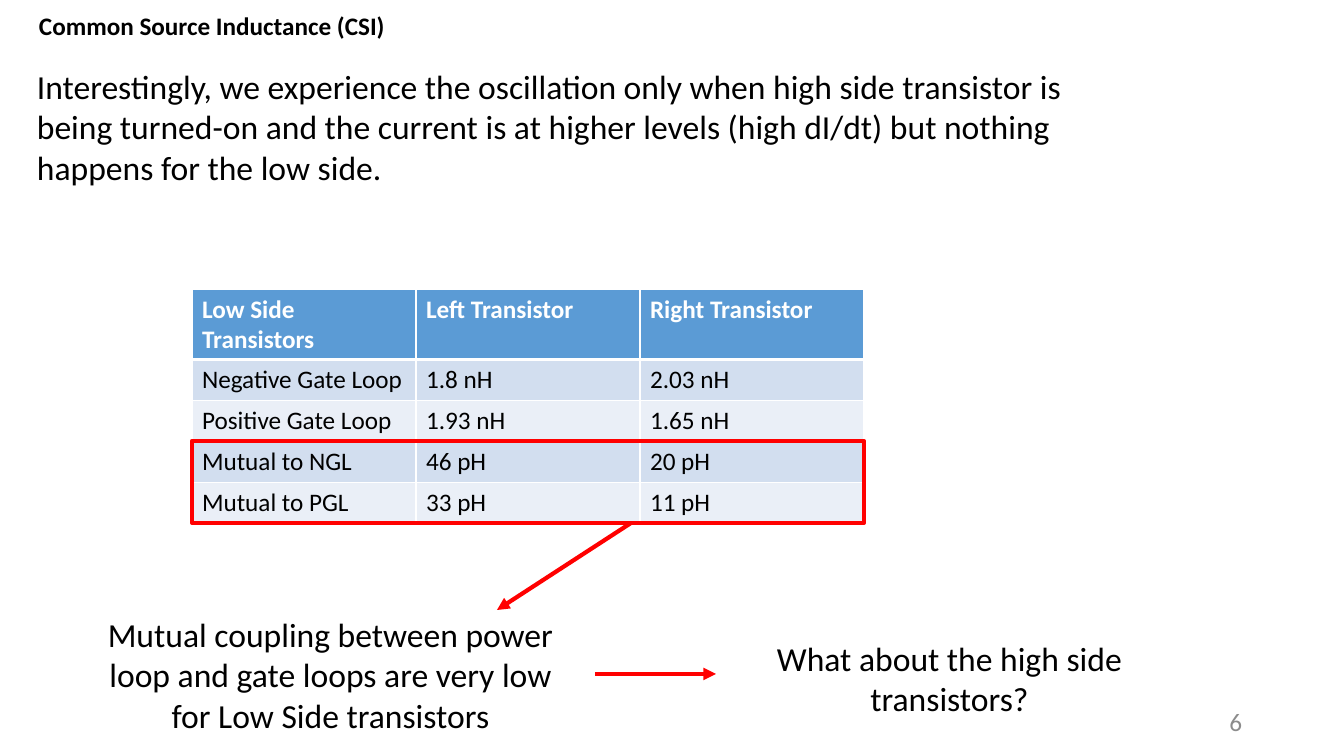
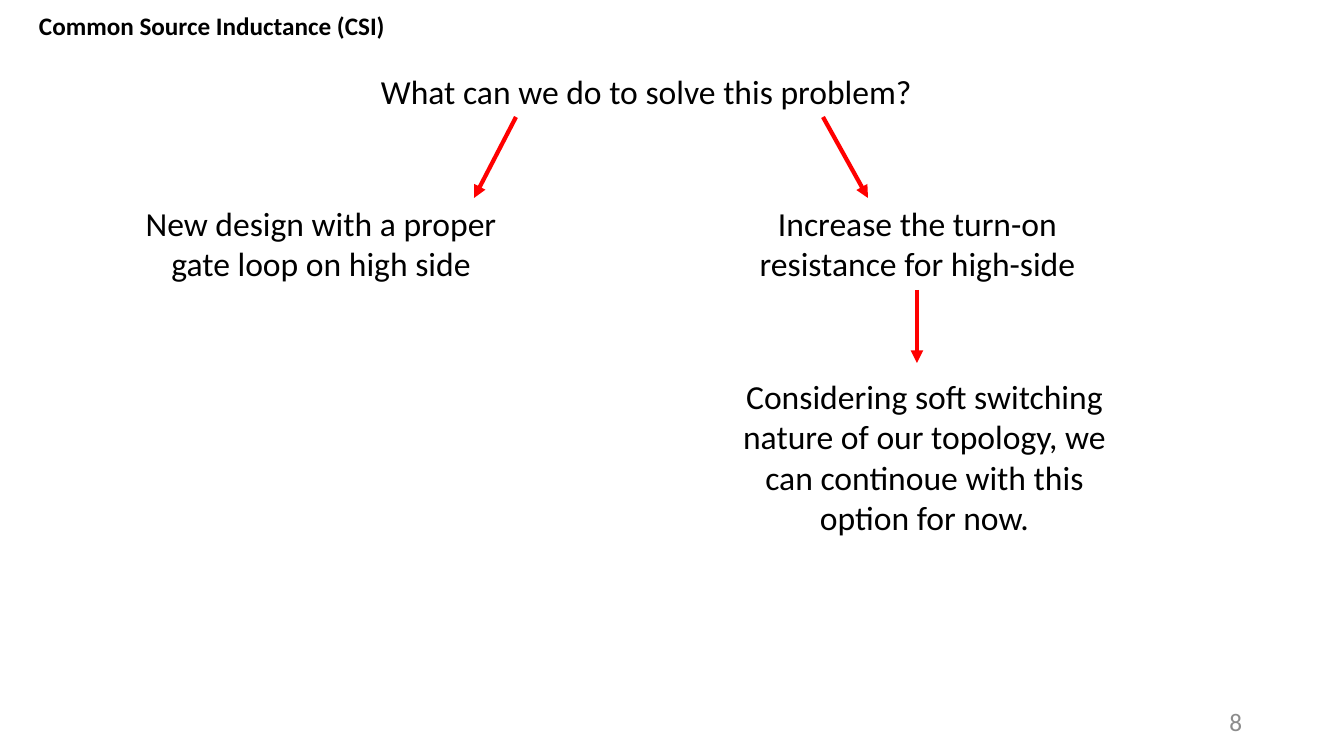
from dataclasses import dataclass

from lxml.etree import SubElement
from pptx import Presentation
from pptx.dml.color import RGBColor
from pptx.enum.shapes import MSO_CONNECTOR as Connector, MSO_SHAPE as Shape
from pptx.enum.text import MSO_ANCHOR as Anchor, PP_ALIGN as Align
from pptx.oxml.ns import qn
from pptx.slide import Slide
from pptx.table import _Cell as Cell
from pptx.text.text import TextFrame
from pptx.util import Emu, Pt

# Shared style
PIXELS_PER_INCH = 100.8
FONT = "Calibri"
BLACK, WHITE, RED, GREY = "000000", "FFFFFF", "FF0000", "8C8C8C"
HEADER_BLUE = "5B9BD5"
BANDS = ("D2DEEF", "EAEFF7")
SMALL, LARGE = 18, 24
TITLE = "Common Source Inductance (CSI)"


@dataclass(frozen=True)
class Area:
    left: int
    top: int
    width: int
    height: int


@dataclass(frozen=True)
class Label:
    text: str
    area: Area
    align: Align = Align.CENTER
    size: int = LARGE
    color: str = BLACK
    anchor: Anchor = Anchor.TOP


@dataclass(frozen=True)
class Arrow:
    start: tuple[int, int]
    end: tuple[int, int]


TITLE_AREA = Area(12, 5, 400, 40)
NUMBER_AREA = Area(950, 701, 302, 40)


def px(pixels: float) -> Emu:
    return Emu(round(pixels * 914400 / PIXELS_PER_INCH))


def rgb(color: str) -> RGBColor:
    return RGBColor.from_string(color)


def box_of(area: Area) -> tuple[Emu, Emu, Emu, Emu]:
    return px(area.left), px(area.top), px(area.width), px(area.height)


def write(frame: TextFrame, text: str, size: int, color: str,
          align: Align = Align.LEFT, bold: bool = False) -> None:
    frame.word_wrap = True
    para = frame.paragraphs[0]
    para.alignment = align
    span = para.add_run()
    span.text = text
    span.font.name = FONT
    span.font.size = Pt(size)
    span.font.bold = bold
    span.font.color.rgb = rgb(color)


def add_label(page: Slide, label: Label) -> None:
    frame = page.shapes.add_textbox(*box_of(label.area)).text_frame
    frame.vertical_anchor = label.anchor
    write(frame, label.text, label.size, label.color, label.align)


def add_arrow(page: Slide, arrow: Arrow) -> None:
    line = page.shapes.add_connector(
        Connector.STRAIGHT, *map(px, arrow.start + arrow.end))
    line.line.color.rgb = rgb(RED)
    line.line.width = Pt(3)
    SubElement(line.line._get_or_add_ln(), qn("a:tailEnd"), type="triangle")
    SubElement(line._element.spPr, qn("a:effectLst"))


def add_frame(page: Slide, area: Area) -> None:
    frame = page.shapes.add_shape(Shape.RECTANGLE, *box_of(area))
    frame.shadow.inherit = False
    frame.fill.background()
    frame.line.color.rgb = rgb(RED)
    frame.line.width = Pt(3)


def set_borders(cell: Cell, bottom: int, top: int) -> None:
    properties = cell._tc.get_or_add_tcPr()
    widths = {"a:lnL": 1, "a:lnR": 1, "a:lnT": top, "a:lnB": bottom}
    for position, (tag, width) in enumerate(widths.items()):
        border = SubElement(properties, qn(tag), w=str(Pt(width)))
        fill = SubElement(border, qn("a:solidFill"))
        SubElement(fill, qn("a:srgbClr"), val=WHITE)
        properties.insert(position, border)


def add_table(page: Slide, area: Area, rows: list[tuple[str, ...]],
              row_height: int) -> None:
    table = page.shapes.add_table(len(rows), len(rows[0]), *box_of(area)).table
    for column in table.columns:
        column.width = px(area.width / len(rows[0]))
    header_height = area.height - row_height * (len(rows) - 1)
    for index, texts in enumerate(rows):
        header = index == 0
        table.rows[index].height = px(header_height if header else row_height)
        for column_index, text in enumerate(texts):
            cell = table.cell(index, column_index)
            cell.fill.solid()
            cell.fill.fore_color.rgb = rgb(
                HEADER_BLUE if header else BANDS[(index - 1) % 2])
            set_borders(cell, bottom=3 if header else 1,
                        top=3 if index == 1 else 1)
            write(cell.text_frame, text, SMALL, WHITE if header else BLACK,
                  bold=header)


def add_page(deck: Presentation, number: int, labels: list[Label],
             arrows: list[Arrow]) -> Slide:
    page = deck.slides.add_slide(deck.slide_layouts[5])
    title = page.shapes.title
    title.left, title.top, title.width, title.height = box_of(TITLE_AREA)
    title.text_frame.vertical_anchor = Anchor.TOP
    write(title.text_frame, TITLE, SMALL, BLACK, Align.CENTER, bold=True)
    add_label(page, Label(str(number), NUMBER_AREA, Align.RIGHT, SMALL, GREY,
                          Anchor.MIDDLE))
    for label in labels:
        add_label(page, label)
    for arrow in arrows:
        add_arrow(page, arrow)
    return page


deck = Presentation()
deck.slide_width, deck.slide_height = px(1344), px(756)

# Low side measurements
low_side = add_page(
    deck, 6,
    [
        Label("Interestingly, we experience the oscillation only when high "
              "side transistor is being turned-on and the current is at "
              "higher levels (high dI/dt) but nothing happens for the low "
              "side.", Area(27, 61, 1114, 132), Align.LEFT),
        Label("Mutual coupling between power loop and gate loops are very low "
              "for Low Side transistors", Area(97, 609, 467, 132)),
        Label("What about the high side transistors?",
              Area(716, 633, 467, 92)),
    ],
    [Arrow((631, 523), (497, 610)), Arrow((595, 674), (716, 674))],
)
add_table(
    low_side, Area(192, 289, 672, 234),
    [
        ("Low Side Transistors", "Left Transistor", "Right Transistor"),
        ("Negative Gate Loop", "1.8 nH", "2.03 nH"),
        ("Positive Gate Loop", "1.93 nH", "1.65 nH"),
        ("Mutual to NGL", "46 pH", "20 pH"),
        ("Mutual to PGL", "33 pH", "11 pH"),
    ],
    row_height=41,
)
add_frame(low_side, Area(192, 441, 672, 82))

# Possible solutions
add_page(
    deck, 8,
    [
        Label("What can we do to solve this problem?",
              Area(371, 66, 554, 50), Align.LEFT),
        Label("New design with a proper gate loop on high side",
              Area(133, 198, 376, 92)),
        Label("Increase the turn-on resistance for high-side",
              Area(714, 198, 407, 92)),
        Label("Considering soft switching nature of our topology, we can "
              "continoue with this option for now.",
              Area(721, 371, 407, 173)),
    ],
    [
        Arrow((516, 117), (474, 198)),
        Arrow((823, 117), (868, 198)),
        Arrow((917, 290), (917, 363)),
    ],
)

deck.save("out.pptx")
